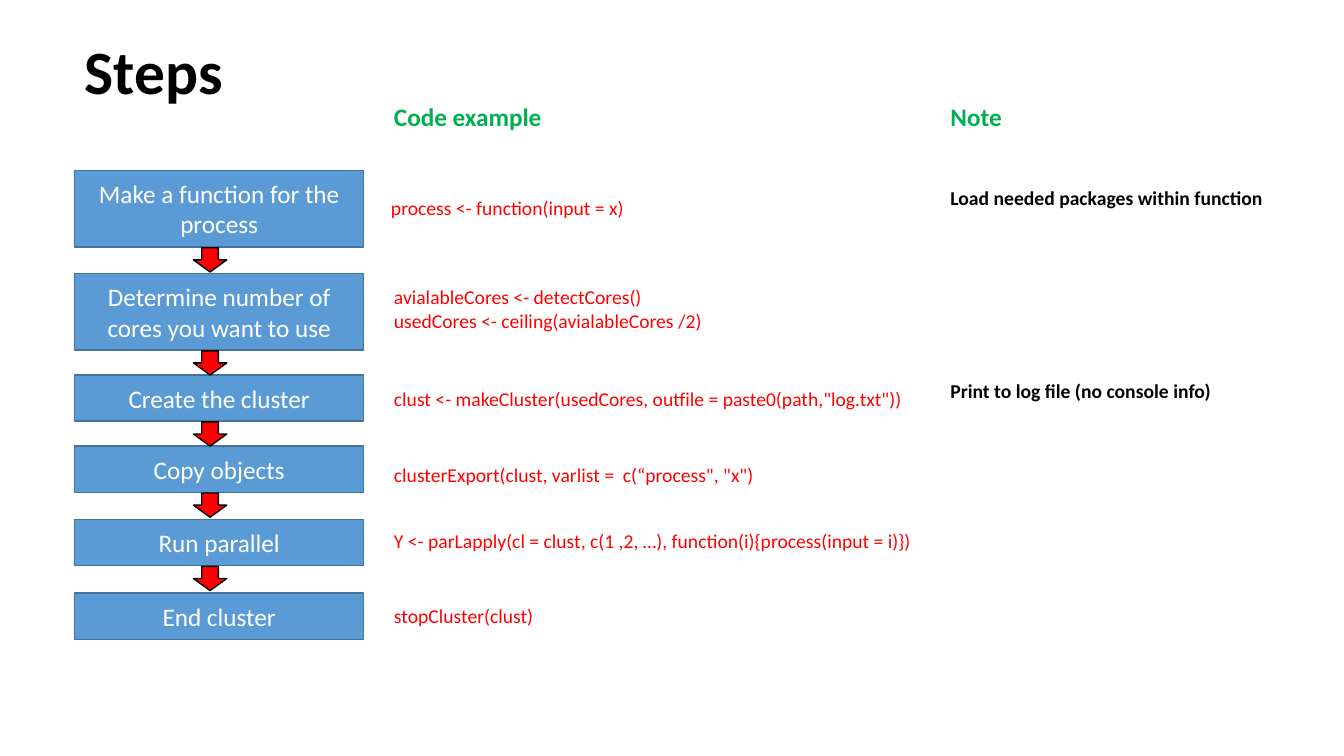
import pptx
import pptx.util
import pptx.dml.color
import pptx.enum.shapes
import pptx.enum.text

Pt = pptx.util.Pt
SHAPE = pptx.enum.shapes.MSO_SHAPE
ALIGN = pptx.enum.text.PP_ALIGN
MIDDLE = pptx.enum.text.MSO_ANCHOR.MIDDLE
TOP = pptx.enum.text.MSO_ANCHOR.TOP

COLORS = {
    "black": "000000",
    "white": "FFFFFF",
    "blue": "5B9BD5",
    "blue_edge": "43739E",
    "red": "FF0000",
    "green": "00B050",
}
STEP_X, STEP_W = 53.3, 206.6
ARROW_X, ARROW_W, ARROW_H = 138.2, 23.8, 17.3
CODE_X, NOTE_X = 274.3, 671.8
TALL, SHORT = 54.8, 33.1
LINE_H = 24.5

# label, top, height
STEPS = [
    ("Make a function for the process", 121.7, TALL),
    ("Determine number of cores you want to use", 195.3, TALL),
    ("Create the cluster", 267.8, SHORT),
    ("Copy objects", 318.6, SHORT),
    ("Run parallel", 371, SHORT),
    ("End cluster", 423.6, SHORT),
]
# lines, left, top, width
CODE = [
    (["process <- function(input = x)"], 272.2, 136.1, 197),
    (["avialableCores <- detectCores()",
      "usedCores <- ceiling(avialableCores /2)"], CODE_X, 200.2, 257),
    (['clust <- makeCluster(usedCores, outfile = paste0(path,"log.txt"))'],
     CODE_X, 272.5, 397.5),
    (['clusterExport(clust, varlist =  c(“process", "x")'], CODE_X, 327, 542),
    (["Y <- parLapply(cl = clust, c(1 ,2, …), function(i){process(input = i)})"],
     CODE_X, 374.6, 656),
    (["stopCluster(clust)"], CODE_X, 427.9, 175),
]
# text, top, width
NOTES = [
    ("Load needed packages within function", 129.6, 263.5),
    ("Print to log file (no console info)", 267.3, 202.5),
]


class SlideBuilder:
    def __init__(self, slide, font):
        self.slide = slide
        self.font = font

    def rgb(self, name):
        return pptx.dml.color.RGBColor.from_string(COLORS[name])

    def fill_text(self, sp, lines, color, size, bold=False, align=ALIGN.LEFT,
                  anchor=TOP, spacing=1.0, wrap=True):
        tf = sp.text_frame
        for name, value in {"word_wrap": wrap, "vertical_anchor": anchor}.items():
            setattr(tf, name, value)
        for i, line in enumerate(lines):
            p = tf.add_paragraph() if i else tf.paragraphs[0]
            p.alignment, p.line_spacing = align, spacing
            r = p.add_run()
            r.text = line
            fmt = {"name": self.font, "size": Pt(size), "bold": bold}
            for name, value in fmt.items():
                setattr(r.font, name, value)
            r.font.color.rgb = self.rgb(color)

    def title(self, text, x, y, w, h):
        sp = self.slide.shapes.title
        box = {"left": x, "top": y, "width": w, "height": h}
        for name, value in box.items():
            setattr(sp, name, Pt(value))
        self.fill_text(sp, [text], "black", 44, bold=True, anchor=MIDDLE, spacing=0.9)

    def shape(self, kind, x, y, w, h, fill, line):
        sp = self.slide.shapes.add_shape(kind, Pt(x), Pt(y), Pt(w), Pt(h))
        sp.shadow.inherit = False
        sp.fill.solid()
        sp.fill.fore_color.rgb = self.rgb(fill)
        sp.line.color.rgb = self.rgb(line)
        sp.line.width = Pt(1)
        return sp

    def step(self, label, y, h):
        sp = self.shape(SHAPE.RECTANGLE, STEP_X, y, STEP_W, h, "blue", "blue_edge")
        self.fill_text(sp, [label], "white", 18, align=ALIGN.CENTER, anchor=MIDDLE)

    def arrow(self, y):
        self.shape(SHAPE.DOWN_ARROW, ARROW_X, y, ARROW_W, ARROW_H, "red", "black")

    def text(self, lines, x, y, w, h, color, size, **fmt):
        sp = self.slide.shapes.add_textbox(Pt(x), Pt(y), Pt(w), Pt(h))
        self.fill_text(sp, lines, color, size, **fmt)


def main():
    prs = pptx.Presentation()
    prs.slide_width, prs.slide_height = Pt(960), Pt(540)
    s = SlideBuilder(prs.slides.add_slide(prs.slide_layouts[5]), "Calibri")

    s.title("Steps", STEP_X, 0.7, 306.7, 104.4)
    for heading, x in (("Code example", CODE_X), ("Note", NOTE_X)):
        s.text([heading], x, 69.1, 126, 29, "green", 18, bold=True)
    for label, y, h in STEPS:
        s.step(label, y, h)
    for _, y, h in STEPS[:-1]:
        s.arrow(y + h + 0.5)
    for lines, x, y, w in CODE:
        s.text(lines, x, y, w, LINE_H + 16.5 * (len(lines) - 1), "red", 14)
    for note, y, w in NOTES:
        s.text([note], NOTE_X, y, w, LINE_H, "black", 14, bold=True, wrap=False)

    prs.save("out.pptx")


if __name__ == "__main__":
    main()
